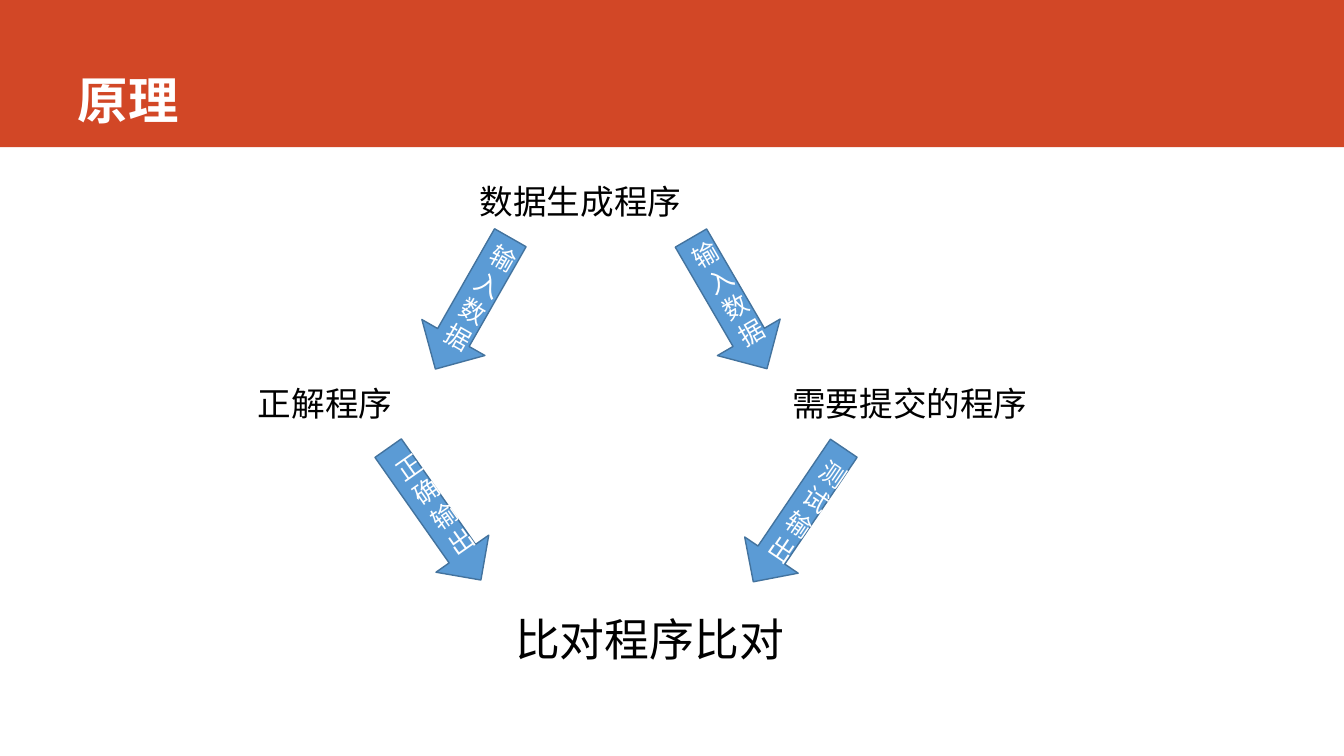
from pptx import Presentation
from pptx.dml.color import RGBColor
from pptx.enum.shapes import MSO_SHAPE as SHAPE
from pptx.enum.text import MSO_ANCHOR as ANCHOR, MSO_AUTO_SIZE as AUTO, PP_ALIGN as ALIGN
from pptx.oxml.ns import qn
from pptx.util import Inches, Pt
from lxml import etree


def rgb(color):
    return RGBColor.from_string(color)


def write(tf, text, size, color="000000", font="Cabin", bold=False, align=ALIGN.LEFT):
    p = tf.paragraphs[0]
    p.alignment = align
    r = p.add_run()
    r.text = text
    r.font.size = Pt(size)
    r.font.name = font
    r.font.bold = bold
    r.font.color.rgb = rgb(color)
    # East Asian typeface follows the Latin one
    latin = r.font.fill and r._r.rPr.find(qn("a:latin"))
    ea = etree.Element(qn("a:ea"), typeface="Noto Sans CJK SC")
    latin.addnext(ea)


class FlowSlide:
    BAND, ARROW, ARROW_LINE, WHITE = "D24726", "5B9BD5", "43739E", "FFFFFF"

    def __init__(self, prs):
        self.s = prs.slides.add_slide(prs.slide_layouts[5])
        self.width = prs.slide_width

    def shape(self, kind, box, fill, line=None):
        sp = self.s.shapes.add_shape(kind, *box)
        sp.shadow.inherit = False
        sp.fill.solid()
        sp.fill.fore_color.rgb = rgb(fill)
        if line:
            sp.line.color.rgb = rgb(line)
            sp.line.width = Pt(1)
        else:
            sp.line.fill.background()
        return sp

    def title(self, text):
        title = self.s.shapes.title
        title.left, title.top = Inches(0.67), Inches(0)
        title.width, title.height = Inches(11.75), Inches(1.34)
        band = self.shape(SHAPE.RECTANGLE, (0, 0, self.width, Inches(1.46)), self.BAND)
        title.element.addprevious(band.element)
        tf = title.text_frame
        tf.auto_size = AUTO.NONE
        tf.vertical_anchor = ANCHOR.BOTTOM
        write(tf, text, 36, self.WHITE, "Noto Sans CJK SC", bold=True)

    def label(self, text, x, y, w, h=0.5, size=24):
        tf = self.s.shapes.add_textbox(*map(Inches, (x, y, w, h))).text_frame
        tf.word_wrap = True
        tf.auto_size = AUTO.SHAPE_TO_FIT_TEXT
        write(tf, text, size)

    def arrow(self, text, x, y, w, h, angle):
        box = map(Inches, (x, y, w, h))
        sp = self.shape(SHAPE.DOWN_ARROW, box, self.ARROW, self.ARROW_LINE)
        sp.rotation = angle
        tf = sp.text_frame
        tf.word_wrap = True
        tf.vertical_anchor = ANCHOR.MIDDLE
        write(tf, text, 18, self.WHITE, align=ALIGN.CENTER)


def main():
    prs = Presentation()
    prs.slide_width, prs.slide_height = Inches(13.33), Inches(7.5)
    slide = FlowSlide(prs)
    slide.title("原理")

    # Programs
    slide.label("数据生成程序", 4.66, 1.75, 2.38)
    slide.label("正解程序", 2.46, 3.75, 1.75)
    slide.label("需要提交的程序", 7.76, 3.75, 3.59)

    # Data passed between programs
    slide.arrow("输入数据", 4.33, 2.26, 0.72, 1.5, 29.7)
    slide.arrow("输入数据", 6.87, 2.26, 0.72, 1.5, 329.8)
    slide.arrow("正确输出", 3.99, 4.3, 0.64, 1.6, 324.9)
    slide.arrow("测试输出", 7.6, 4.31, 0.64, 1.6, 34.1)

    # Comparison
    slide.label("比对程序比对", 5.01, 6.02, 2.91, 0.64, size=32)

    prs.save("out.pptx")


if __name__ == "__main__":
    main()
